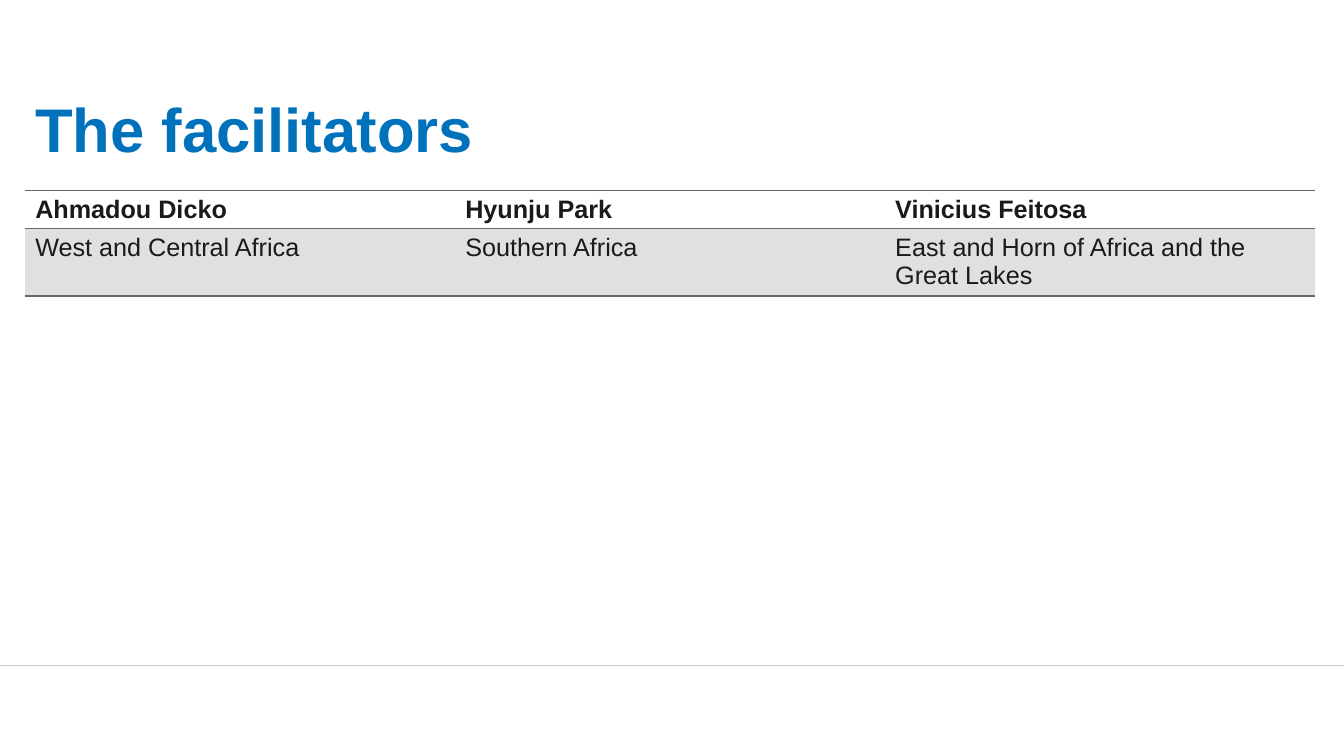
from dataclasses import dataclass

from lxml import etree
from pptx import Presentation
from pptx.dml.color import RGBColor
from pptx.enum import shapes, text
from pptx.oxml import ns
from pptx.util import Pt


@dataclass(frozen=True)
class Theme:
    font: str = "Arial"
    title_size: float = 44
    body_size: float = 18
    title: str = "0072BC"
    ink: str = "1A1A1A"
    rule: str = "666666"
    band_opacity: int = 20
    footer_rule: str = "CCCCCC"


@dataclass(frozen=True)
class Facilitator:
    name: str
    region: str


THEME = Theme()
FACILITATORS = [
    Facilitator("Ahmadou Dicko", "West and Central Africa"),
    Facilitator("Hyunju Park", "Southern Africa"),
    Facilitator("Vinicius Feitosa", "East and Horn of Africa and the Great Lakes"),
]
SLIDE_WIDTH, SLIDE_HEIGHT = 960, 540
MARGIN = 18
TABLE_TOP, COLUMN_WIDTH = 136, 307.15
ROW_HEIGHTS = (27, 48)
FOOTER_Y = 475.2
NO_STYLE_NO_GRID = "{2D5ABB26-0587-4C30-8999-92F81FD0307C}"


def style_paragraph(paragraph, size: float, color: str, bold: bool) -> None:
    font = paragraph.font
    font.name, font.size, font.bold = THEME.font, Pt(size), bold
    font.color.rgb = RGBColor.from_string(color)


def add_title(slide, wording: str) -> None:
    title = slide.shapes.title
    title.left, title.top = Pt(MARGIN), Pt(MARGIN)
    title.width, title.height = Pt(SLIDE_WIDTH - 2 * MARGIN), Pt(104.4)
    frame = title.text_frame
    frame.text = wording
    frame.vertical_anchor = text.MSO_ANCHOR.BOTTOM
    heading = frame.paragraphs[0]
    heading.alignment = text.PP_ALIGN.LEFT
    heading.line_spacing = 0.9
    style_paragraph(heading, THEME.title_size, THEME.title, True)


def add_footer_rule(slide) -> None:
    rule = slide.shapes.add_connector(
        shapes.MSO_CONNECTOR.STRAIGHT, 0, Pt(FOOTER_Y), Pt(SLIDE_WIDTH), Pt(FOOTER_Y))
    rule.line.color.rgb = RGBColor.from_string(THEME.footer_rule)
    rule.line.width = Pt(0.75)
    etree.SubElement(rule._element.spPr, ns.qn("a:effectLst"))


def add_borders(cell, sides: str) -> None:
    """Draw a 1 pt rule on each named side (T, B), ahead of the cell's fill."""
    properties = cell._tc.get_or_add_tcPr()
    for position, side in enumerate(sides):
        border = etree.Element(ns.qn(f"a:ln{side}"), w=str(Pt(1)))
        fill = etree.SubElement(border, ns.qn("a:solidFill"))
        etree.SubElement(fill, ns.qn("a:srgbClr"), val=THEME.rule)
        properties.insert(position, border)


def fill_band(cell) -> None:
    cell.fill.solid()
    cell.fill.fore_color.rgb = RGBColor.from_string(THEME.rule)
    color = cell._tc.tcPr.find(".//" + ns.qn("a:srgbClr"))
    etree.SubElement(color, ns.qn("a:alpha"), val=str(THEME.band_opacity * 1000))


def add_facilitator_table(slide, facilitators: list[Facilitator]) -> None:
    table = slide.shapes.add_table(
        len(ROW_HEIGHTS), len(facilitators), Pt(MARGIN), Pt(TABLE_TOP),
        Pt(COLUMN_WIDTH * len(facilitators)), Pt(sum(ROW_HEIGHTS))).table
    table.horz_banding = False
    table._tbl.tblPr.find(ns.qn("a:tableStyleId")).text = NO_STYLE_NO_GRID
    for row, height in zip(table.rows, ROW_HEIGHTS):
        row.height = Pt(height)
    for column, facilitator in enumerate(facilitators):
        table.columns[column].width = Pt(COLUMN_WIDTH)
        for row, wording in enumerate((facilitator.name, facilitator.region)):
            is_header = row == 0
            cell = table.cell(row, column)
            cell.text = wording
            style_paragraph(cell.text_frame.paragraphs[0], THEME.body_size, THEME.ink, is_header)
            if is_header:
                cell.fill.background()
            else:
                fill_band(cell)
            add_borders(cell, "TB")


def main() -> None:
    deck = Presentation()
    deck.slide_width, deck.slide_height = Pt(SLIDE_WIDTH), Pt(SLIDE_HEIGHT)
    slide = deck.slides.add_slide(deck.slide_layouts.get_by_name("Title Only"))
    add_footer_rule(slide)
    add_title(slide, "The facilitators")
    add_facilitator_table(slide, FACILITATORS)
    deck.save("out.pptx")


if __name__ == "__main__":
    main()
